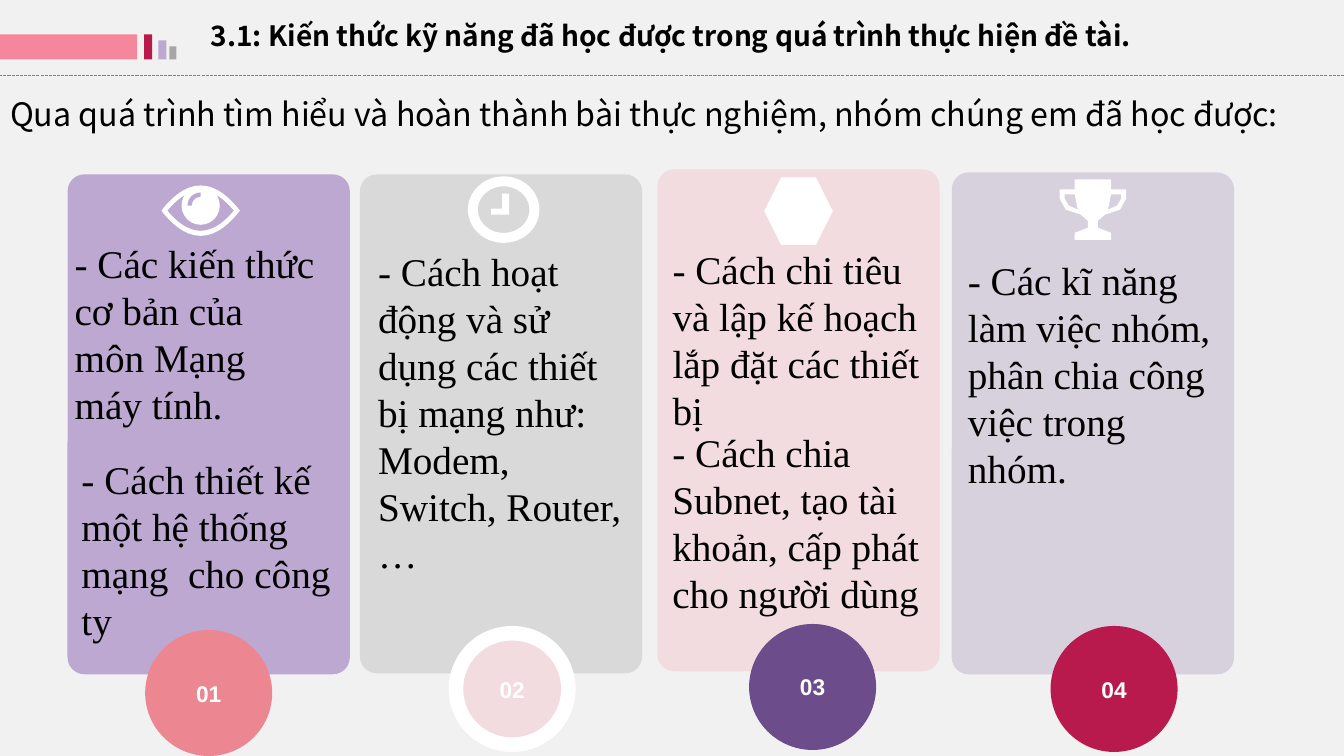
"""Build the slide on knowledge and skills gained from the project."""
from math import cos, pi, sin

from lxml.etree import SubElement
from pptx import Presentation
from pptx.dml.color import RGBColor
from pptx.enum.dml import MSO_LINE
from pptx.enum.shapes import MSO_CONNECTOR, MSO_SHAPE
from pptx.enum.text import MSO_ANCHOR, MSO_AUTO_SIZE, PP_ALIGN
from pptx.oxml.ns import qn
from pptx.util import Inches, Pt

TITLE = "3.1: Kiến thức kỹ năng đã học được trong quá trình thực hiện đề tài."
INTRO = "Qua quá trình tìm hiểu và hoàn thành bài thực nghiệm, nhóm chúng em đã học được:"

THEME = {
    "background": "F1F1F1", "text": "000000", "light": "FFFFFF", "rule": "808080",
    "lilac": "BDA8D1", "pale": "F2DCE0", "crimson": "B81A4D", "salmon": "EC8690",
    "purple": "6C4C8B", "mist": "D7D0DD", "silver": "D9D9D9", "gray": "A6A6A6",
    "pink": "F4879C",
    "heading_font": "Noto Sans CJK KR", "body_font": "Times New Roman", "badge_font": "Arial",
    "title_size": 20, "intro_size": 23, "body_size": 28, "badge_size": 16.2,
}
BARS = [
    ((-0.03, 0.34, 1.39, 0.25), "pink"),
    ((1.43, 0.34, 0.08, 0.25), "crimson"),
    ((1.57, 0.4, 0.08, 0.19), "lilac"),
    ((1.68, 0.46, 0.07, 0.13), "gray"),
]
CARD_WIDTH = 2.8
BADGE_SIZE, BADGE_CORE, BADGE_INSET = (1.26, 1.25), (0.97, 0.96), 0.145
CARDS = [
    {"place": (0.67, 1.73), "height": 4.96, "fill": "lilac", "badge": (1.44, 6.25),
     "ring": "salmon", "core": "salmon"},
    {"place": (3.57, 1.73), "height": 4.95, "fill": "silver", "badge": (4.45, 6.21),
     "ring": "light", "core": "pale"},
    {"place": (6.52, 1.68), "height": 4.98, "fill": "pale", "badge": (7.43, 6.19),
     "ring": "purple", "core": "purple"},
    {"place": (9.44, 1.71), "height": 4.98, "fill": "mist", "badge": (10.42, 6.21),
     "ring": "crimson", "core": "crimson"},
]
NARROW, WIDE = (0.07, 0.04), (0.1, 0.05)
NOTES = [
    ((0.67, 2.33, 2.58, 1.96), NARROW, "- Các kiến thức cơ bản của môn Mạng máy tính."),
    ((3.68, 2.41, 2.62, 3.37), NARROW,
     "- Cách hoạt động và sử dụng các thiết bị mạng như: Modem, Switch, Router, …"),
    ((6.6, 2.39, 2.71, 1.96), NARROW, "- Cách chi tiêu và lập kế hoạch lắp đặt các thiết bị"),
    ((9.53, 2.5, 2.7, 2.43), NARROW,
     "- Các kĩ năng làm việc nhóm, phân chia công việc trong nhóm."),
    ((0.71, 4.47, 2.68, 1.99), WIDE, "- Cách thiết kế một hệ thống mạng  cho công ty"),
    ((6.57, 4.2, 2.72, 2.46), WIDE,
     "- Cách chia Subnet, tạo tài khoản, cấp phát cho người dùng"),
]
CLOCK_HANDS = [(0, 0), (0.07, 0), (0.07, 0.21), (-0.11, 0.21), (-0.11, 0.15), (0, 0.15)]
CUP_HALF = [(0.18, 0), (0.18, 0.1), (0.33, 0.1), (0.33, 0.19), (0.27, 0.3), (0.12, 0.35),
            (0.05, 0.41), (0.05, 0.48), (0.18, 0.53), (0.18, 0.6)]
CUP_HANDLE = [(0.18, 0.15), (0.28, 0.15), (0.28, 0.19), (0.24, 0.26), (0.15, 0.3)]


def set_all(target, values):
    for name, value in values.items():
        setattr(target, name, value)


def rgb(color):
    return RGBColor.from_string(THEME[color])


def paint(shape, color):
    shape.shadow.inherit = False
    shape.fill.solid()
    shape.fill.fore_color.rgb = rgb(color)
    shape.line.fill.background()


def add_block(page, kind, place, color, adjustments=()):
    shape = page.shapes.add_shape(kind, *map(Inches, place))
    paint(shape, color)
    for index, value in enumerate(adjustments):
        shape.adjustments[index] = value
    return shape


def write(shape, text, font, size, color="text", bold=False, insets=WIDE,
          align=PP_ALIGN.LEFT, anchor=MSO_ANCHOR.TOP):
    frame = shape.text_frame
    side, edge = map(Inches, insets)
    set_all(frame, {"word_wrap": True, "auto_size": MSO_AUTO_SIZE.NONE, "vertical_anchor": anchor,
                    "margin_left": side, "margin_right": side,
                    "margin_top": edge, "margin_bottom": edge})
    para = frame.paragraphs[0]
    set_all(para, {"alignment": align, "space_before": Pt(0)})
    span = para.add_run()
    span.text = text
    set_all(span.font, {"name": THEME[font], "size": Pt(THEME[size]), "bold": bold})
    span.font.color.rgb = rgb(color)
    return para


def place_at(shape, place):
    set_all(shape, dict(zip(("left", "top", "width", "height"), map(Inches, place))))


def add_outline(page, origin, contours):
    outlines = [[(Inches(origin[0] + x), Inches(origin[1] + y)) for x, y in contour]
                for contour in contours]
    builder = page.shapes.build_freeform(*outlines[0][0])
    for index, points in enumerate(outlines):
        if index:
            builder.move_to(*points[0])
        builder.add_line_segments(points[1:], close=True)
    paint(builder.convert_to_shape(), "light")


def lens(half_width, half_height, steps=40):
    angles = [2 * pi * step / steps for step in range(steps)]
    return [(half_width * cos(a), half_height * sin(a) * abs(sin(a))) for a in angles]


def mirror(points):
    return [(-x, y) for x, y in reversed(points)]


def add_eye(page):
    add_outline(page, (1.99, 2.09), [lens(0.39, 0.25), lens(0.33, 0.2)])
    add_block(page, MSO_SHAPE.OVAL, (1.8, 1.85, 0.38, 0.38), "light")
    add_block(page, MSO_SHAPE.BLOCK_ARC, (1.86, 1.91, 0.26, 0.26), "lilac", (108, 162, 0.16))


def add_clock(page):
    add_block(page, MSO_SHAPE.DONUT, (4.64, 1.75, 0.71, 0.66), "light", (0.15,))
    add_outline(page, (4.98, 1.92), [CLOCK_HANDS])


def add_hexagon(page):
    add_block(page, MSO_SHAPE.HEXAGON, (7.58, 1.76, 0.68, 0.67), "light")


def add_trophy(page):
    add_outline(page, (10.84, 1.78),
                [CUP_HALF + mirror(CUP_HALF), CUP_HANDLE, mirror(CUP_HANDLE)])


def add_badge(page, number, card):
    left, top = card["badge"]
    add_block(page, MSO_SHAPE.OVAL, (left, top, *BADGE_SIZE), card["ring"])
    core = add_block(page, MSO_SHAPE.OVAL,
                     (left + BADGE_INSET, top + BADGE_INSET, *BADGE_CORE), card["core"])
    write(core, f"{number:02}", "badge_font", "badge_size", "light", True,
          align=PP_ALIGN.CENTER, anchor=MSO_ANCHOR.MIDDLE)


def main():
    deck = Presentation()
    set_all(deck, {"slide_width": Inches(13.33), "slide_height": Inches(7.5)})
    page = deck.slides.add_slide(deck.slide_layouts[1])
    page.background.fill.solid()
    page.background.fill.fore_color.rgb = rgb("background")

    title, intro = page.placeholders
    place_at(title, (1.99, 0.13, 9.86, 1.11))
    write(title, TITLE, "heading_font", "title_size", bold=True)
    place_at(intro, (0, 0.89, 13.33, 0.88))
    properties = write(intro, INTRO, "heading_font", "intro_size")._p.get_or_add_pPr()
    properties.set("marL", "0")
    properties.set("indent", "0")
    SubElement(properties, qn("a:buNone"))

    rule = page.shapes.add_connector(MSO_CONNECTOR.STRAIGHT, Inches(13.33), Inches(0.75),
                                     Inches(0), Inches(0.75))
    set_all(rule.line, {"width": Pt(0.75), "dash_style": MSO_LINE.SQUARE_DOT})
    rule.line.color.rgb = rgb("rule")
    SubElement(rule._element.spPr, qn("a:effectLst"))

    for place, color in BARS:
        add_block(page, MSO_SHAPE.RECTANGLE, place, color)
    icons = (add_eye, add_clock, add_hexagon, add_trophy)
    for number, (card, add_icon) in enumerate(zip(CARDS, icons), 1):
        add_block(page, MSO_SHAPE.ROUNDED_RECTANGLE,
                  (*card["place"], CARD_WIDTH, card["height"]), card["fill"], (0.06,))
        add_badge(page, number, card)
        add_icon(page)
    for place, insets, text in NOTES:
        box = page.shapes.add_textbox(*map(Inches, place))
        write(box, text, "body_font", "body_size", insets=insets)
    deck.save("out.pptx")


if __name__ == "__main__":
    main()
